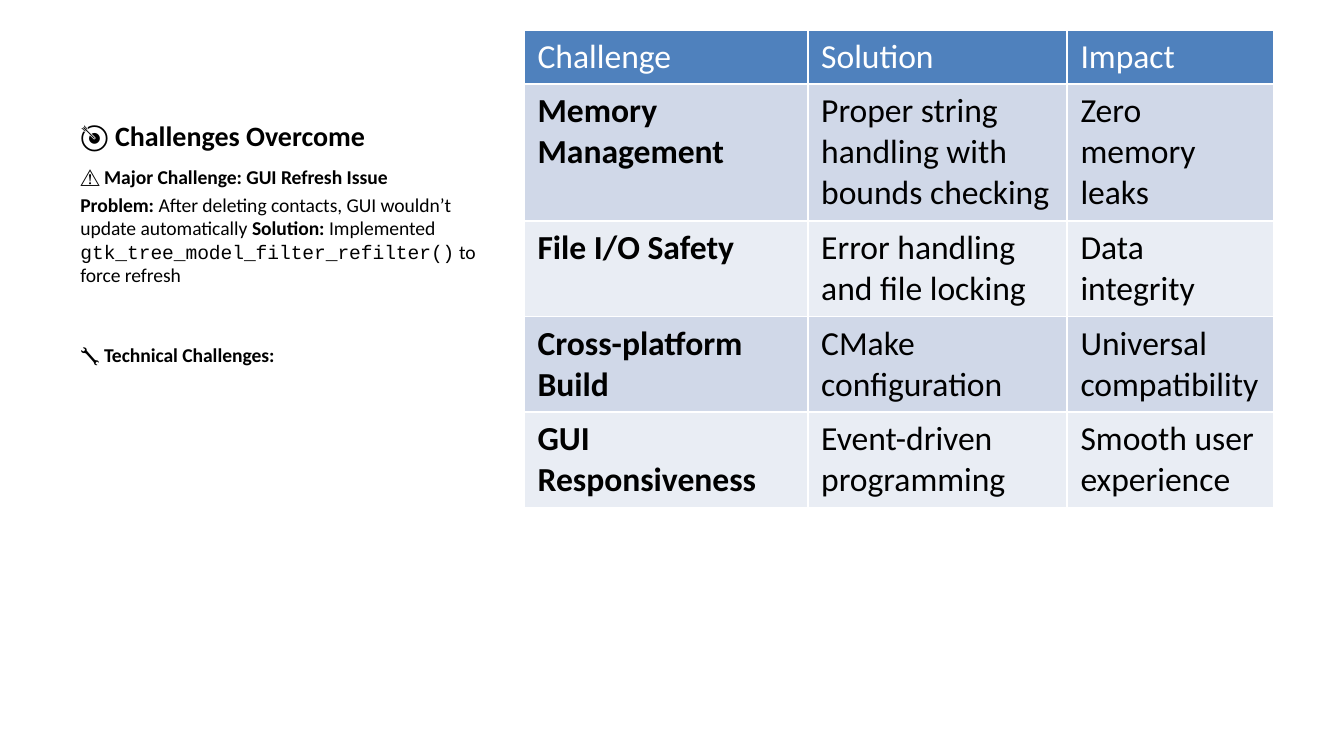
from pptx import Presentation
from pptx.dml.color import RGBColor
from pptx.enum.text import MSO_ANCHOR
from pptx.util import Inches, Pt

BOTTOM = MSO_ANCHOR.BOTTOM
TOP = MSO_ANCHOR.TOP

WIDTH = Inches(10)
HEIGHT = WIDTH * 9 // 16
COLORS = {
    "text": "000000",
    "header_text": "FFFFFF",
    "header": "4F81BD",
    "odd": "D0D8E8",
    "even": "E9EDF4",
}
BODY_FONT, CODE_FONT = "Calibri", "Courier New"

TITLE = [(0, [("🎯 Challenges Overcome", {"bold": True})])]
BODY = [
    (30, [("⚠️ Major Challenge: GUI Refresh Issue", {"bold": True})]),
    (2, [
        ("Problem:", {"bold": True}),
        (" After deleting contacts, GUI wouldn’t update automatically ", {}),
        ("Solution:", {"bold": True}),
        (" Implemented ", {}),
        ("gtk_tree_model_filter_refilter()", {"name": CODE_FONT}),
        (" to force refresh", {}),
    ]),
    (30, [("🔧 Technical Challenges:", {"bold": True})]),
]
CHALLENGES = [
    ("Challenge", "Solution", "Impact"),
    ("Memory Management", "Proper string handling with bounds checking", "Zero memory leaks"),
    ("File I/O Safety", "Error handling and file locking", "Data integrity"),
    ("Cross-platform Build", "CMake configuration", "Universal compatibility"),
    ("GUI Responsiveness", "Event-driven programming", "Smooth user experience"),
]
COLUMN_WIDTHS = (2.11, 1.93, 1.54)
ROW_HEIGHTS = (0.4, 1.02, 0.71, 0.71, 0.71)


def add_span(para, text, size, color="text", **changes):
    """Add a run of text with the given font values."""
    span = para.add_run()
    span.text = text
    values = {"name": BODY_FONT, "size": Pt(size), "bold": False, **changes}
    for name, value in values.items():
        setattr(span.font, name, value)
    span.font.color.rgb = RGBColor.from_string(COLORS[color])


def add_text(page, top, height, size, anchor, paragraphs):
    """Add a text box in the left column, placed by shares of the slide height."""
    box = page.shapes.add_textbox(
        int(WIDTH * 0.05), int(HEIGHT * top), int(WIDTH * 0.33), int(HEIGHT * height))
    frame = box.text_frame
    frame.word_wrap = True
    frame.vertical_anchor = anchor
    for index, (space, spans) in enumerate(paragraphs):
        para = frame.add_paragraph() if index else frame.paragraphs[0]
        para.space_before = Pt(space)
        for text, changes in spans:
            add_span(para, text, size, **changes)


def fill_cell(cell, text, row, column):
    """Write one table cell, coloured by its row and bold in the first column."""
    band = ("odd" if row % 2 else "even") if row else "header"
    cell.fill.solid()
    cell.fill.fore_color.rgb = RGBColor.from_string(COLORS[band])
    color = "text" if row else "header_text"
    add_span(cell.text_frame.paragraphs[0], text, 18, color, bold=row > 0 and column == 0)


def add_challenge_table(page):
    """Add the table of challenges, solutions and impacts."""
    table = page.shapes.add_table(
        len(ROW_HEIGHTS), len(COLUMN_WIDTHS), int(WIDTH * 0.39), int(HEIGHT * 0.04),
        Inches(sum(COLUMN_WIDTHS)), Inches(sum(ROW_HEIGHTS))).table
    for column, width in zip(table.columns, COLUMN_WIDTHS):
        column.width = Inches(width)
    for row, height in zip(table.rows, ROW_HEIGHTS):
        row.height = Inches(height)
    for row, texts in enumerate(CHALLENGES):
        for column, text in enumerate(texts):
            fill_cell(table.cell(row, column), text, row, column)


def main():
    """Build the challenges slide and save it."""
    deck = Presentation()
    deck.slide_width, deck.slide_height = WIDTH, HEIGHT
    page = deck.slides.add_slide(deck.slide_layouts[6])
    add_text(page, 0.04, 0.17, 15, BOTTOM, TITLE)
    add_text(page, 0.21, 0.68, 10.5, TOP, BODY)
    add_challenge_table(page)
    deck.save("out.pptx")


if __name__ == "__main__":
    main()
